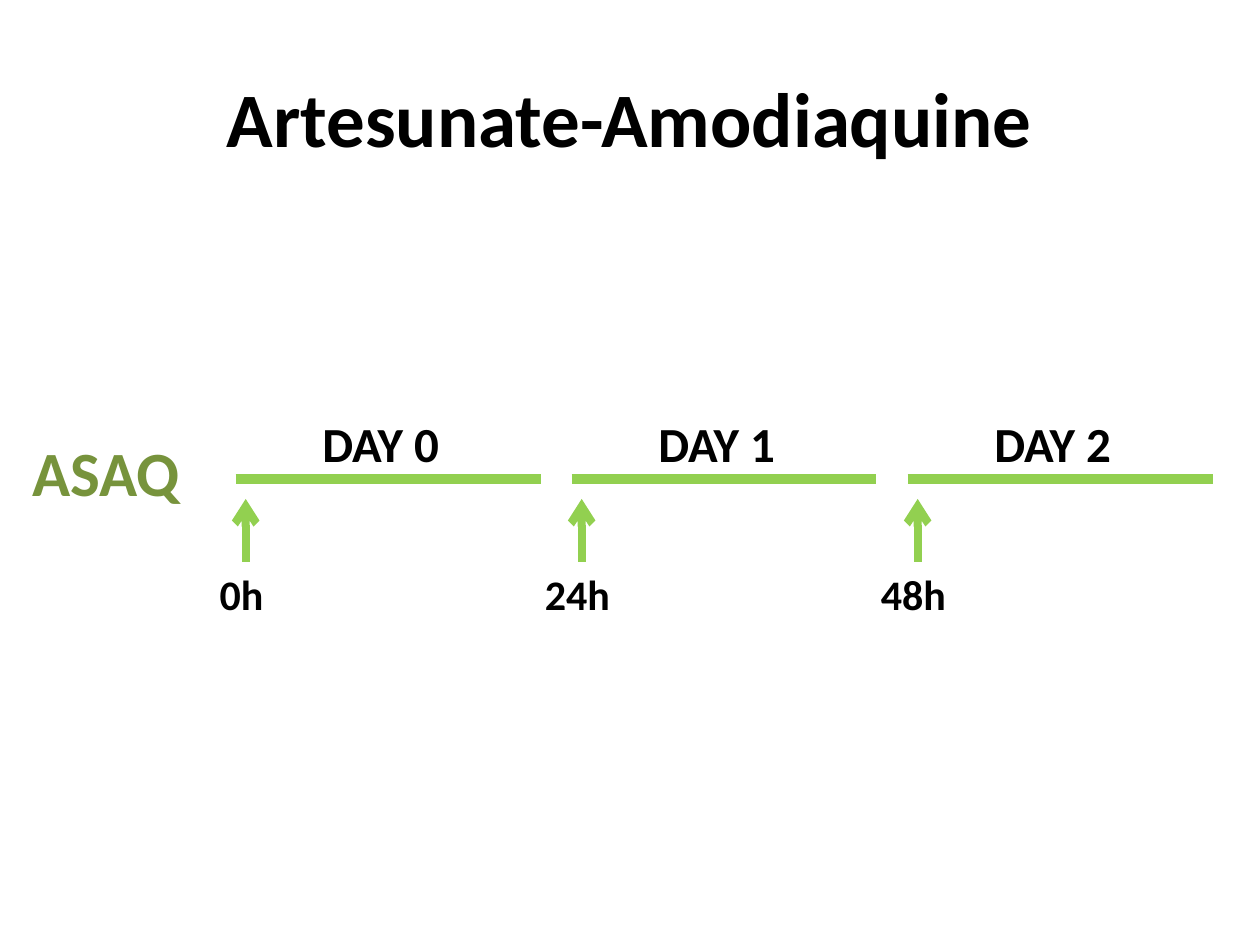
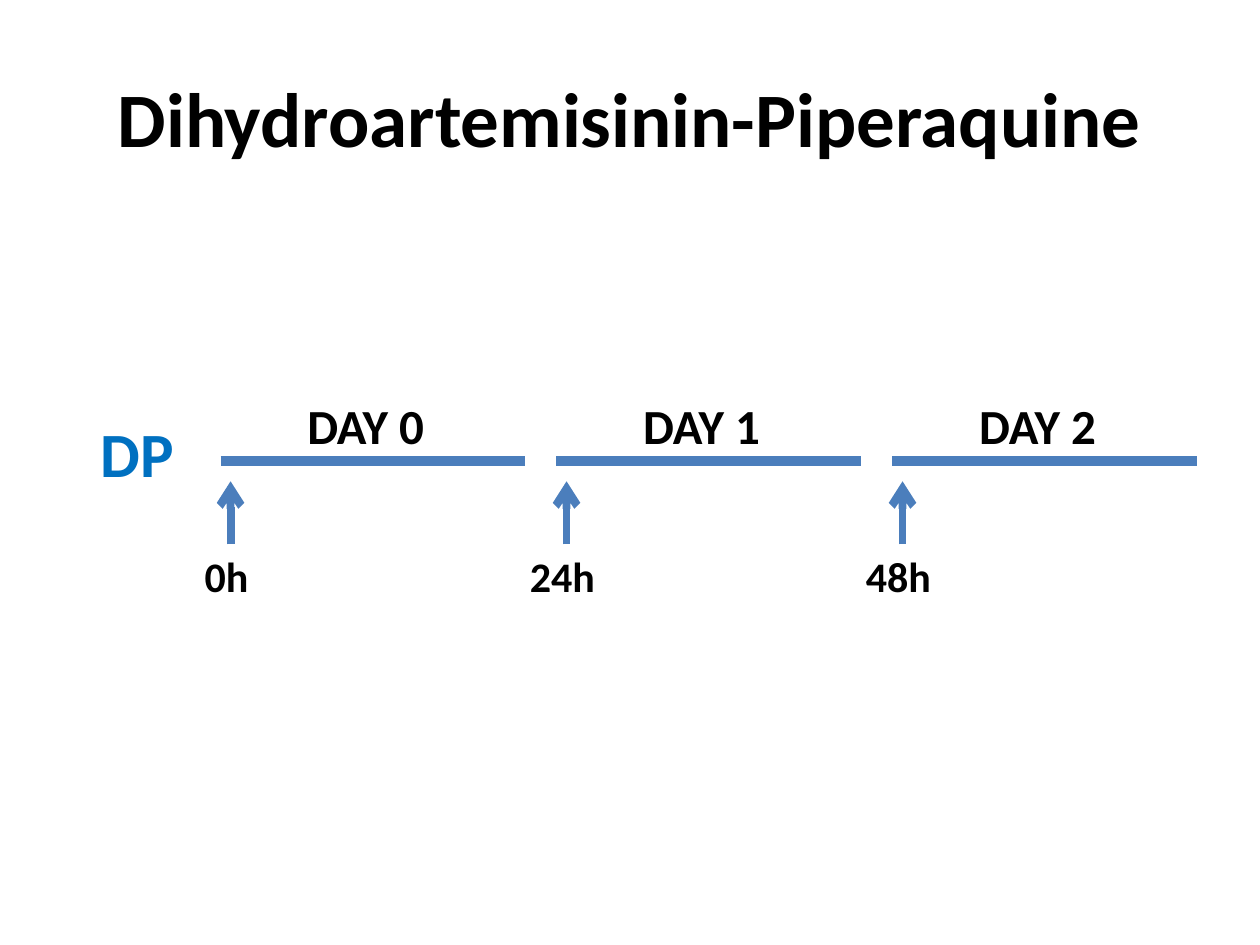
from pptx import Presentation
from pptx import util as u
from pptx.dml.color import RGBColor
from pptx.enum import shapes, text
from pptx.oxml import ns
from lxml import etree

COLORS = {
    "text": "000000",
    "asaq_label": "77933C",
    "asaq_line": "92D050",
    "dp_label": "0070C0",
    "dp_line": "4B7EBC",
}
DAY_PITCH = 8 / 3
DAY_LENGTH = 2.42


class DosingDeck:
    font = "Calibri"

    def __init__(self):
        self.presentation = Presentation()
        self.presentation.slide_width = u.Inches(10)
        self.presentation.slide_height = u.Inches(7.5)
        self.slide = None

    def new_slide(self, title):
        self.slide = self.presentation.slides.add_slide(self.presentation.slide_layouts[6])
        self.text(title, 0.5, 0.3, 9, 1.25, 44, anchor=text.MSO_ANCHOR.MIDDLE)

    def text(self, words, left, top, width, height, size, color="text",
             align=text.PP_ALIGN.CENTER, anchor=text.MSO_ANCHOR.TOP, wrap=True):
        shape = self.slide.shapes.add_textbox(
            u.Inches(left), u.Inches(top), u.Inches(width), u.Inches(height))
        frame = shape.text_frame
        frame.word_wrap = wrap
        frame.vertical_anchor = anchor
        paragraph = frame.paragraphs[0]
        paragraph.alignment = align
        run = paragraph.add_run()
        run.text = words
        run.font.name = self.font
        run.font.size = u.Pt(size)
        run.font.bold = True
        run.font.color.rgb = RGBColor.from_string(COLORS[color])

    def line(self, start, end, color, width, arrow=False):
        connector = self.slide.shapes.add_connector(
            shapes.MSO_CONNECTOR.STRAIGHT, *map(u.Inches, (*start, *end)))
        connector.line.color.rgb = RGBColor.from_string(COLORS[color])
        connector.line.width = u.Pt(width)
        if arrow:
            etree.SubElement(connector.line._get_or_add_ln(), ns.qn("a:tailEnd"), type="arrow")
        etree.SubElement(connector._element.spPr, ns.qn("a:effectLst"))

    def schedule(self, left, top, color):
        for day in range(3):
            start = left + day * DAY_PITCH
            dose = start + 0.08
            self.line((start, top), (start + DAY_LENGTH, top), color, 6)
            self.text(f"DAY {day} ", start - 0.03, top - 0.57, 2.45, 0.57, 28)
            self.line((dose, top + 0.66), (dose, top + 0.16), color, 4.5, arrow=True)
            self.text(f"{day * 24}h ", dose - 0.58, top + 0.66, 1.17, 0.5, 24)

    def drug_label(self, words, left, top, width, color):
        self.text(words, left, top, width, 0.71, 36, color,
                  align=text.PP_ALIGN.LEFT, wrap=False)


def main():
    deck = DosingDeck()

    deck.new_slide("Artesunate-Amodiaquine")
    deck.schedule(1.87, 3.8, "asaq_line")
    deck.drug_label("ASAQ", 0.16, 3.39, 1.41, "asaq_label")

    deck.new_slide("Dihydroartemisinin-Piperaquine")
    deck.schedule(1.75, 3.66, "dp_line")
    deck.drug_label("DP", 0.7, 3.24, 0.84, "dp_label")

    deck.presentation.save("out.pptx")


if __name__ == "__main__":
    main()
